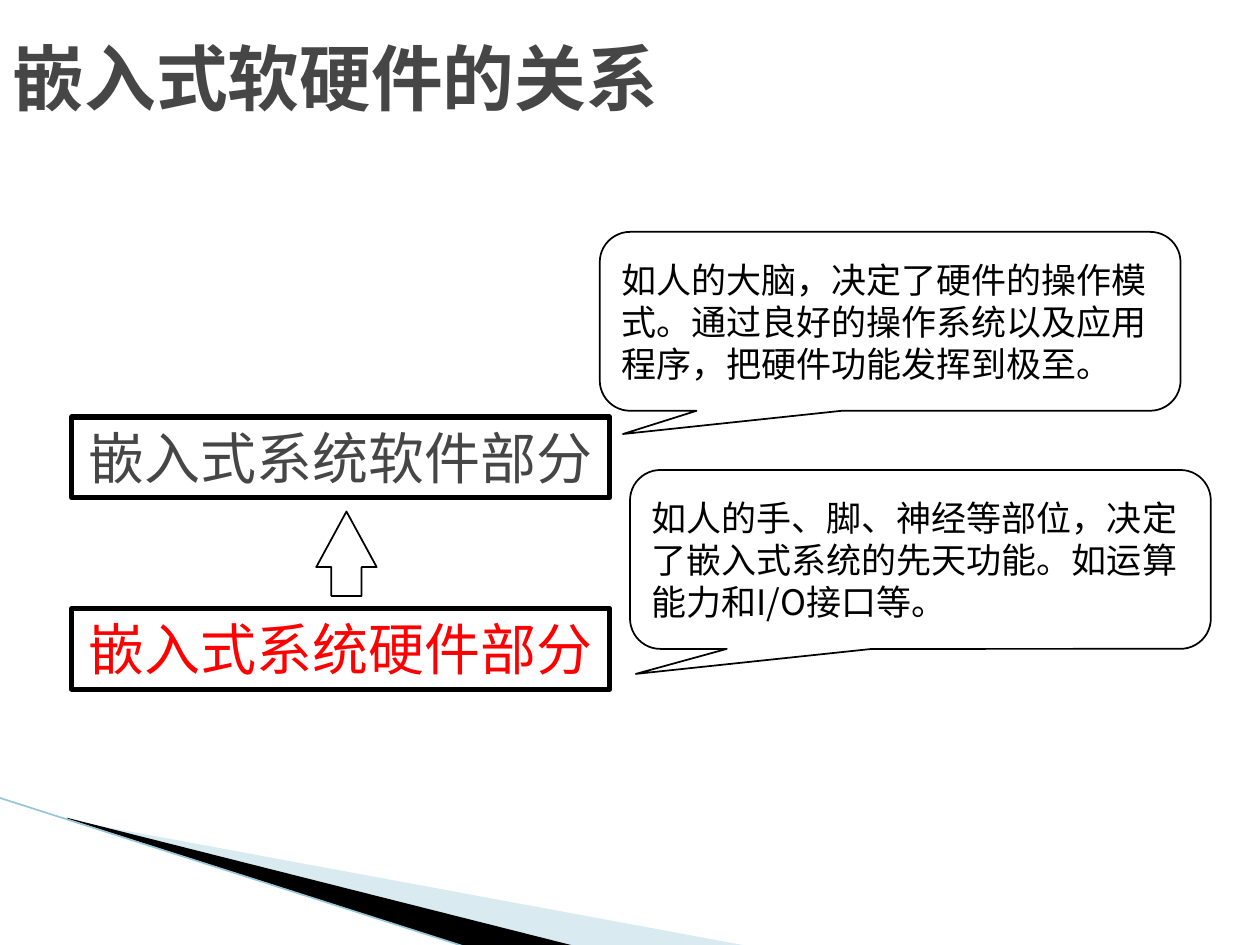
from dataclasses import dataclass

from lxml.etree import SubElement
from pptx import Presentation
from pptx.dml.color import RGBColor
from pptx.enum.shapes import MSO_CONNECTOR, MSO_SHAPE
from pptx.enum.text import MSO_ANCHOR, MSO_AUTO_SIZE, PP_ALIGN
from pptx.oxml.ns import qn
from pptx.util import Pt

PX = 9144  # EMU in one px, 100 px to the inch


@dataclass(frozen=True)
class Theme:
    font: str = "Noto Sans CJK SC"
    latin_font: str = "Arial"
    ink: str = "000000"
    grey: str = "464646"
    red: str = "FF0000"
    paper: str = "FFFFFF"
    pale_blue: str = "A0CBDC"
    edge_blue: str = "97C5D8"
    title_size: int = 41
    label_size: int = 32
    note_size: int = 20


def emu(*lengths):
    return [length * PX for length in lengths]


class SlideBuilder:
    def __init__(self, theme, page):
        self.theme = theme
        self.page = page

    def style(self, shape, fill=None, line=None, width=1, alpha=None):
        shape.shadow.inherit = False
        if fill:
            shape.fill.solid()
            shape.fill.fore_color.rgb = RGBColor.from_string(fill)
        else:
            shape.fill.background()
        if alpha:
            color = shape._element.spPr.find(qn("a:solidFill"))[0]
            SubElement(color, qn("a:alpha"), val=str(alpha * 1000))
        if line:
            shape.line.color.rgb = RGBColor.from_string(line)
            shape.line.width = Pt(width)
        else:
            shape.line.fill.background()

    def add_text(self, shape, runs, size, color, align=PP_ALIGN.LEFT, bold=False, **frame_format):
        """Fill a shape with one paragraph made of (text, font name) runs."""
        frame = shape.text_frame
        for name, value in {"word_wrap": True, **frame_format}.items():
            setattr(frame, name, value)
        para = frame.paragraphs[0]
        para.alignment = align
        for text, font_name in runs:
            span = para.add_run()
            span.text = text
            for name, value in {"name": font_name, "size": Pt(size), "bold": bold}.items():
                setattr(span.font, name, value)
            span.font.color.rgb = RGBColor.from_string(color)
            SubElement(span.font._element, qn("a:ea"), typeface=font_name)

    def title(self, text, left, top, width, height):
        box = self.page.shapes.title
        for name, value in zip(("left", "top", "width", "height"), emu(left, top, width, height)):
            setattr(box, name, value)
        self.add_text(box, [(text, self.theme.font)], self.theme.title_size, self.theme.grey,
                      bold=True, vertical_anchor=MSO_ANCHOR.MIDDLE, auto_size=MSO_AUTO_SIZE.NONE)

    def wedge(self, points, fill, alpha=None):
        builder = self.page.shapes.build_freeform(*points[0], scale=PX)
        builder.add_line_segments(points[1:], close=True)
        self.style(builder.convert_to_shape(), fill, alpha=alpha)

    def line(self, start, end, color, width):
        connector = self.page.shapes.add_connector(MSO_CONNECTOR.STRAIGHT, *emu(*start, *end))
        connector.line.color.rgb = RGBColor.from_string(color)
        connector.line.width = Pt(width)
        SubElement(connector._element.spPr, qn("a:effectLst"))

    def preset(self, kind, place, adjustments=(), **look):
        shape = self.page.shapes.add_shape(kind, *emu(*place))
        for index, value in enumerate(adjustments):
            shape.adjustments[index] = value
        self.style(shape, line=self.theme.ink, **look)
        return shape

    def label(self, text, top, color):
        box = self.preset(MSO_SHAPE.RECTANGLE, (57, top, 427, 64), width=3)
        self.add_text(box, [(text, self.theme.font)], self.theme.label_size, color,
                      PP_ALIGN.CENTER, vertical_anchor=MSO_ANCHOR.TOP,
                      auto_size=MSO_AUTO_SIZE.SHAPE_TO_FIT_TEXT)

    def arrow(self, *place):
        self.preset(MSO_SHAPE.UP_ARROW, place, (0.5, 0.92), fill=self.theme.paper)

    def callout(self, runs, left, top, tip):
        box = self.preset(MSO_SHAPE.ROUNDED_RECTANGULAR_CALLOUT, (left, top, 461, 142),
                          (*tip, 0.17), fill=self.theme.paper)
        self.add_text(box, runs, self.theme.note_size, self.theme.ink,
                      vertical_anchor=MSO_ANCHOR.MIDDLE)


def main():
    theme = Theme()
    deck = Presentation()
    deck.slide_width, deck.slide_height = emu(1000, 750)
    slide = SlideBuilder(theme, deck.slides.add_slide(deck.slide_layouts[5]))

    slide.wedge([(55, 651), (595, 751), (456, 751), (55, 650)], theme.pale_blue, alpha=40)
    slide.wedge([(53, 649), (457, 751), (372, 752), (54, 650)], theme.ink)
    slide.line((-1, 633), (371, 752), theme.edge_blue, 0.95)

    slide.title("嵌入式软硬件的关系", 0, 15, 1000, 92)
    slide.label("嵌入式系统硬件部分", 483, theme.red)
    slide.label("嵌入式系统软件部分", 331, theme.grey)
    slide.arrow(251, 406, 48, 67)
    slide.callout(
        [("如人的大脑，决定了硬件的操作模式。通过良好的操作系统以及应用程序，把硬件功能发挥到极至。",
          theme.font)],
        476, 184, (-0.46, 0.63))
    slide.callout(
        [("如人的手、脚、神经等部位，决定了嵌入式系统的先天功能。如运算能力和I/O接口等", theme.font),
         ("。", theme.latin_font)],
        500, 373, (-0.49, 0.64))
    deck.save("out.pptx")


if __name__ == "__main__":
    main()
